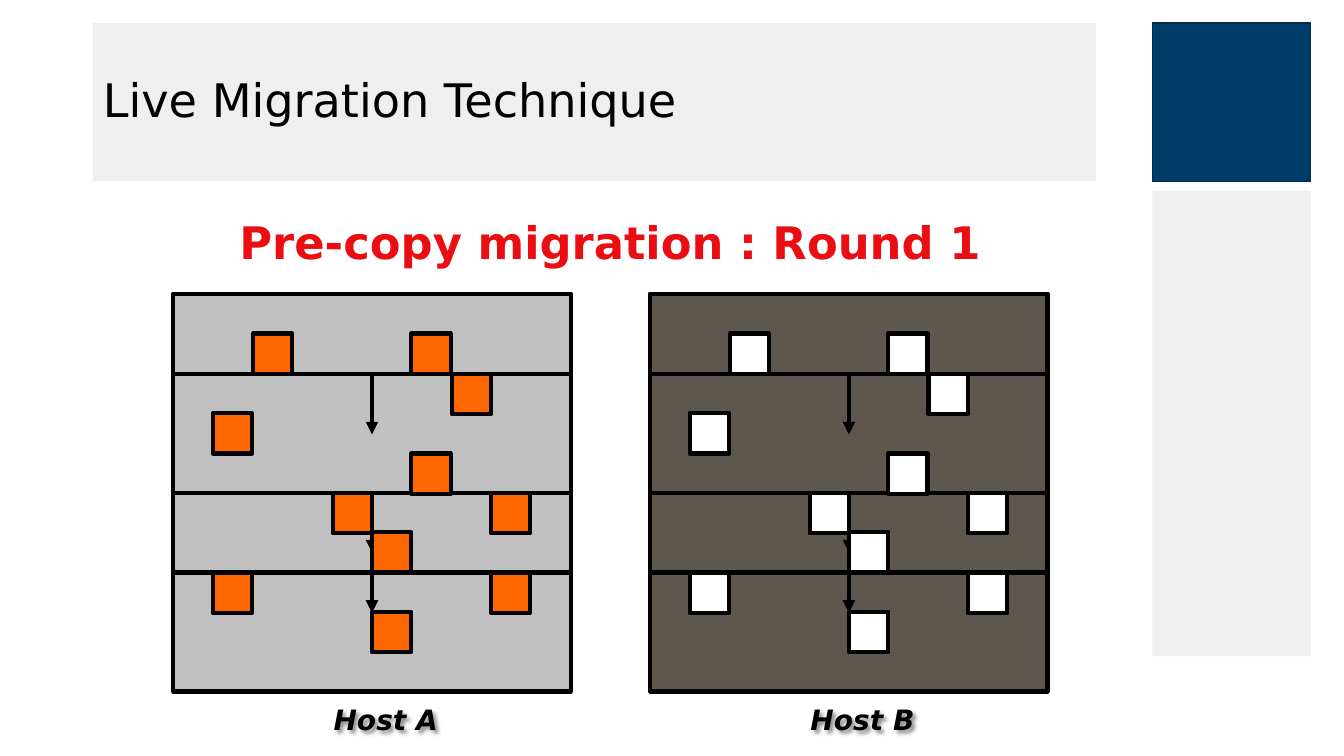
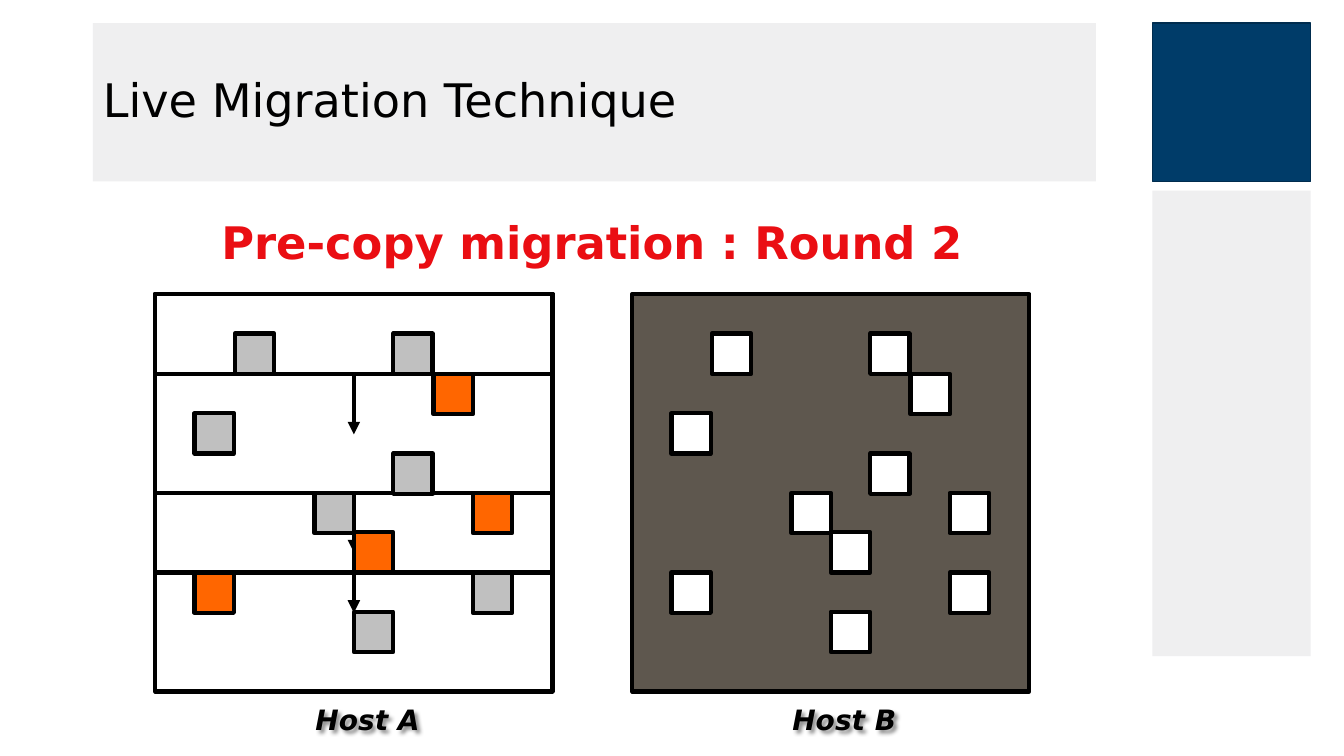
from dataclasses import dataclass
from typing import NamedTuple

from lxml import etree
from pptx import Presentation
from pptx.dml.color import RGBColor
from pptx.enum.shapes import MSO_CONNECTOR, MSO_SHAPE
from pptx.enum.text import MSO_ANCHOR, MSO_AUTO_SIZE, PP_ALIGN
from pptx.oxml import parse_xml
from pptx.oxml.ns import nsdecls, qn
from pptx.shapes.autoshape import Shape
from pptx.slide import Slide
from pptx.util import Emu, Pt

RECTANGLE = MSO_SHAPE.RECTANGLE
STRAIGHT = MSO_CONNECTOR.STRAIGHT
MIDDLE = MSO_ANCHOR.MIDDLE
GROW = MSO_AUTO_SIZE.SHAPE_TO_FIT_TEXT
LEFT, CENTER = PP_ALIGN.LEFT, PP_ALIGN.CENTER

EMU_PER_PX = 9144  # 100 px to the inch
COLORS = {
    "panel": "EFEFF0",
    "navy": "003C69",
    "navy_edge": "002C4E",
    "black": "000000",
    "red": "EA0E13",
    "silver": "C0C0C0",
    "stone": "5E574E",
    "orange": "FF6600",
    "white": "FFFFFF",
}
FONT = "DejaVu Sans"
TITLE_FORMAT = {"name": FONT, "size": Pt(33), "bold": False}
HEADING_FORMAT = {"name": FONT, "size": Pt(32), "bold": True}
LABEL_FORMAT = {"name": FONT, "size": Pt(20), "bold": True, "italic": True}

HOST_TOP, HOST_SIZE, HOST_STEP = 292, 394, 473
GRID_CELLS = 10
PAGE_WIDTH, PAGE_HEIGHT = 39, 40


class Box(NamedTuple):
    left: int
    top: int
    width: int
    height: int


class Cell(NamedTuple):
    column: int
    row: int


class Band(NamedTuple):
    rows: int
    arrow_length: int


@dataclass(frozen=True)
class Host:
    label: str
    fill: str | None
    page_fill: str
    has_bands: bool = True
    dirty_cells: frozenset[Cell] = frozenset()


@dataclass(frozen=True)
class Round:
    heading: str
    left: int
    hosts: tuple[Host, ...]


TITLE_BOX = Box(92, 23, 995, 157)
BANDS = (Band(7, 40), Band(5, 59), Band(2, 60))
PAGE_CELLS = (
    Cell(2, 1), Cell(6, 1), Cell(7, 2), Cell(1, 3), Cell(6, 4), Cell(4, 5),
    Cell(8, 5), Cell(5, 6), Cell(1, 7), Cell(8, 7), Cell(5, 8),
)
DIRTY_CELLS = frozenset({Cell(7, 2), Cell(8, 5), Cell(5, 6), Cell(1, 7)})
ROUNDS = (
    Round("Pre-copy migration : Round 1", 172, (
        Host("Host A", "silver", "orange"),
        Host("Host B", "stone", "white"),
    )),
    Round("Pre-copy migration : Round 2", 154, (
        Host("Host A", None, "silver", dirty_cells=DIRTY_CELLS),
        Host("Host B", "stone", "white", has_bands=False),
    )),
)


def px(length: int) -> Emu:
    return Emu(length * EMU_PER_PX)


def color(name: str) -> RGBColor:
    return RGBColor.from_string(COLORS[name])


def grid(cells: int) -> int:
    """Distance of a grid line from the edge of its host."""
    return round(HOST_SIZE * cells / GRID_CELLS)


def add_box(slide: Slide, box: Box, fill: str | None,
            line: str | None = "black", line_width: int = 3) -> Shape:
    shape = slide.shapes.add_shape(RECTANGLE, *map(px, box))
    shape.shadow.inherit = False
    if fill:
        shape.fill.solid()
        shape.fill.fore_color.rgb = color(fill)
    else:
        shape.fill.background()
    if line:
        shape.line.color.rgb = color(line)
        shape.line.width = Pt(line_width)
    else:
        shape.line.fill.background()
    return shape


def add_down_arrow(slide: Slide, x: int, top: int, length: int) -> None:
    arrow = slide.shapes.add_connector(STRAIGHT, px(x), px(top), px(x), px(top + length))
    arrow.line.color.rgb = color("black")
    arrow.line.width = Pt(3)
    properties = arrow.element.spPr
    etree.SubElement(properties.find(qn("a:ln")), qn("a:tailEnd"), type="triangle")
    etree.SubElement(properties, qn("a:effectLst"))


def write_text(shape: Shape, text: str, font_format: dict, text_color: str,
               alignment: PP_ALIGN = LEFT) -> None:
    shape.text_frame.text = text
    paragraph = shape.text_frame.paragraphs[0]
    paragraph.alignment = alignment
    font = paragraph.runs[0].font
    for attribute, value in font_format.items():
        setattr(font, attribute, value)
    font.color.rgb = color(text_color)


def add_text(slide: Slide, box: Box, text: str, font_format: dict,
             text_color: str, alignment: PP_ALIGN = LEFT) -> Shape:
    shape = slide.shapes.add_textbox(*map(px, box))
    shape.text_frame.word_wrap = False
    shape.text_frame.auto_size = GROW
    write_text(shape, text, font_format, text_color, alignment)
    return shape


def add_soft_shadow(shape: Shape) -> None:
    shape.element.spPr.append(parse_xml(
        f'<a:effectLst {nsdecls("a")}>'
        '<a:outerShdw blurRad="38100" dist="38100" dir="2700000" algn="tl">'
        '<a:srgbClr val="000000"><a:alpha val="43000"/></a:srgbClr>'
        '</a:outerShdw></a:effectLst>'))


def move_side_panels_to_layout(slide: Slide) -> None:
    """Draw the panels on the slide, then hand them to its layout for all slides."""
    panels = (
        add_box(slide, Box(1143, 189, 157, 462), "panel", None),
        add_box(slide, Box(1143, 23, 157, 157), "navy", "navy_edge", 1),
    )
    for panel in panels:
        slide.slide_layout.shapes.element.append(panel.element)


def format_title(slide: Slide) -> None:
    title = slide.shapes.title
    for attribute, length in TITLE_BOX._asdict().items():
        setattr(title, attribute, px(length))
    title.fill.solid()
    title.fill.fore_color.rgb = color("panel")
    write_text(title, "Live Migration Technique", TITLE_FORMAT, "black")
    title.text_frame.vertical_anchor = MIDDLE
    title.text_frame.paragraphs[0].line_spacing = 0.9


def draw_host(slide: Slide, host: Host, left: int) -> None:
    add_box(slide, Box(left, HOST_TOP, HOST_SIZE, HOST_SIZE), host.fill)
    for band in BANDS if host.has_bands else ():
        height = grid(band.rows)
        add_box(slide, Box(left, HOST_TOP, HOST_SIZE, height), host.fill)
        add_down_arrow(slide, left + HOST_SIZE // 2, HOST_TOP + height, band.arrow_length)
    for cell in PAGE_CELLS:
        page = Box(left + grid(cell.column), HOST_TOP + grid(cell.row),
                   PAGE_WIDTH, PAGE_HEIGHT)
        add_box(slide, page, "orange" if cell in host.dirty_cells else host.page_fill)
    label = add_text(slide, Box(left + 149, 692, 124, 44), host.label, LABEL_FORMAT, "black")
    add_soft_shadow(label)


def draw_round(slide: Slide, migration_round: Round) -> None:
    format_title(slide)
    add_text(slide, Box(migration_round.left + 52, 208, 763, 64),
             migration_round.heading, HEADING_FORMAT, "red", CENTER)
    for index, host in enumerate(migration_round.hosts):
        draw_host(slide, host, migration_round.left + index * HOST_STEP)


def main() -> None:
    presentation = Presentation()
    presentation.slide_width, presentation.slide_height = px(1333), px(750)
    title_only = presentation.slide_layouts.get_by_name("Title Only")
    slides = [presentation.slides.add_slide(title_only) for _ in ROUNDS]
    move_side_panels_to_layout(slides[0])
    for slide, migration_round in zip(slides, ROUNDS):
        draw_round(slide, migration_round)
    presentation.save("out.pptx")


if __name__ == "__main__":
    main()
